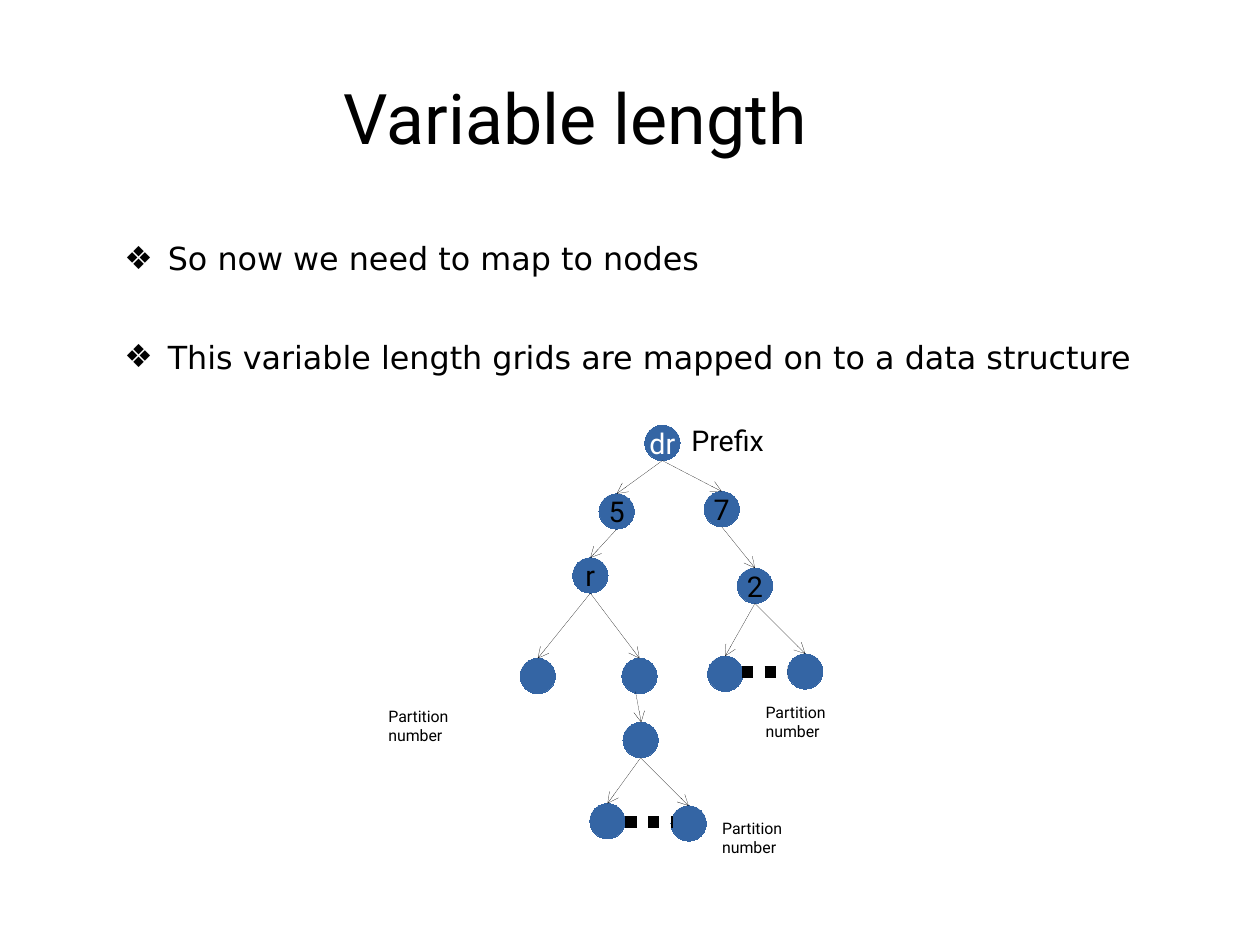
from lxml import etree
from pptx import Presentation
from pptx import util as u
from pptx.dml.color import RGBColor
from pptx.enum import dml, shapes, text
from pptx.oxml.ns import qn

BLUE = RGBColor(0x34, 0x65, 0xA4)
BLACK = RGBColor(0, 0, 0)
WHITE = RGBColor(255, 255, 255)
SIZE = 0.31

deck = Presentation()
deck.slide_width, deck.slide_height = u.Cm(28), u.Cm(21)
slide = deck.slides.add_slide(deck.slide_layouts[6])


def write(x, y, w, h, words, size, font="Roboto"):
    box = slide.shapes.add_textbox(*map(u.Inches, (x, y, w, h)))
    frame = box.text_frame
    frame.word_wrap = True
    frame.text = words
    for para in frame.paragraphs:
        for run in para.runs:
            run.font.size, run.font.name = u.Pt(size), font
            run.font.color.rgb = BLACK
    return frame


def link(x1, y1, x2, y2):
    """Draw a black hairline between two points."""
    wire = slide.shapes.add_connector(
        shapes.MSO_CONNECTOR.STRAIGHT, *map(u.Inches, (x1, y1, x2, y2)))
    wire.line.color.rgb = BLACK
    wire.line._get_or_add_ln().set("w", "0")
    etree.SubElement(wire._element.spPr, qn("a:effectLst"))
    return wire.line


# Title, centred a little left of the middle
title = write(0.55, 0.33, 9.92, 1.38, "Variable length", 44)
title.vertical_anchor = text.MSO_ANCHOR.MIDDLE
title.margin_left = title.margin_top = title.margin_bottom = 0
title.margin_right = u.Inches(0.95)
title.paragraphs[0].alignment = text.PP_ALIGN.CENTER

# Tree nodes: left, top, label
nodes = {
    "root": (5.64, 3.72, "dr"),
    "five": (5.24, 4.32, "5"),
    "seven": (6.16, 4.3, "7"),
    "r": (5.01, 4.88, "r"),
    "two": (6.45, 4.97, "2"),
    "r left": (4.55, 5.76, ""),
    "r right": (5.44, 5.76, ""),
    "two first": (6.19, 5.74, ""),
    "two last": (6.89, 5.72, ""),
    "inner": (5.45, 6.32, ""),
    "inner first": (5.16, 7.03, ""),
    "inner last": (5.87, 7.05, ""),
}
for name, (x, y, label) in nodes.items():
    node = slide.shapes.add_shape(
        shapes.MSO_SHAPE.OVAL, *map(u.Inches, (x, y, SIZE, SIZE)))
    node.shadow.inherit = False
    node.fill.solid()
    node.fill.fore_color.rgb = BLUE
    node.line.color.rgb = BLUE
    node.line._get_or_add_ln().set("w", "0")
    if label:
        frame = node.text_frame
        frame.word_wrap = False
        frame.vertical_anchor = text.MSO_ANCHOR.MIDDLE
        frame.text = label
        para = frame.paragraphs[0]
        para.alignment = text.PP_ALIGN.CENTER
        font = para.runs[0].font
        font.size, font.name = u.Pt(18), "Roboto"
        font.color.rgb = WHITE if name == "root" else BLACK

# Arrows from the foot of a parent to the head of its child
edges = [
    ("root", "five"), ("root", "seven"), ("five", "r"), ("seven", "two"),
    ("r", "r left"), ("r", "r right"), ("two", "two first"),
    ("two", "two last"), ("inner", "inner first"), ("inner", "inner last"),
]
arrows = [(5.56, 6.05, 5.61, 6.32)]
for up, down in edges:
    (x1, y1, _), (x2, y2, _) = nodes[up], nodes[down]
    arrows.append((x1 + SIZE / 2, y1 + SIZE, x2 + SIZE / 2, y2))
for ends in arrows:
    ln = link(*ends)._get_or_add_ln()
    etree.SubElement(ln, qn("a:tailEnd"), type="arrow")

# Dots between the first and last leaf
for x1, x2, y in [(6.49, 6.89, 5.88), (5.47, 5.89, 7.19)]:
    dots = link(x1, y, x2, y)
    dots.width = u.Pt(7.2)
    dots.dash_style = dml.MSO_LINE.ROUND_DOT

write(5.95, 3.65, 1.52, 0.38, "Prefix", 18)
for x, y, w in [(3.3, 6.13, 1.5), (6.6, 6.1, 2.91), (6.22, 7.11, 1.48)]:
    write(x, y, w, 0.41, "Partition\nnumber", 10)

points = write(
    0.99, 1.71, 9.37, 1.69,
    "So now we need to map to nodes\n"
    "This variable length grids are mapped on to a data structure",
    20, "DejaVu Sans")
for para in points.paragraphs:
    para.line_spacing = 2.0
    para.space_after = u.Pt(14.2)
    props = para._p.get_or_add_pPr()
    props.set("marL", str(u.Inches(0.38)))
    props.set("indent", str(u.Inches(-0.38)))
    etree.SubElement(props, qn("a:buFont"), typeface="DejaVu Sans")
    etree.SubElement(props, qn("a:buChar"), char="❖")

deck.save("out.pptx")
